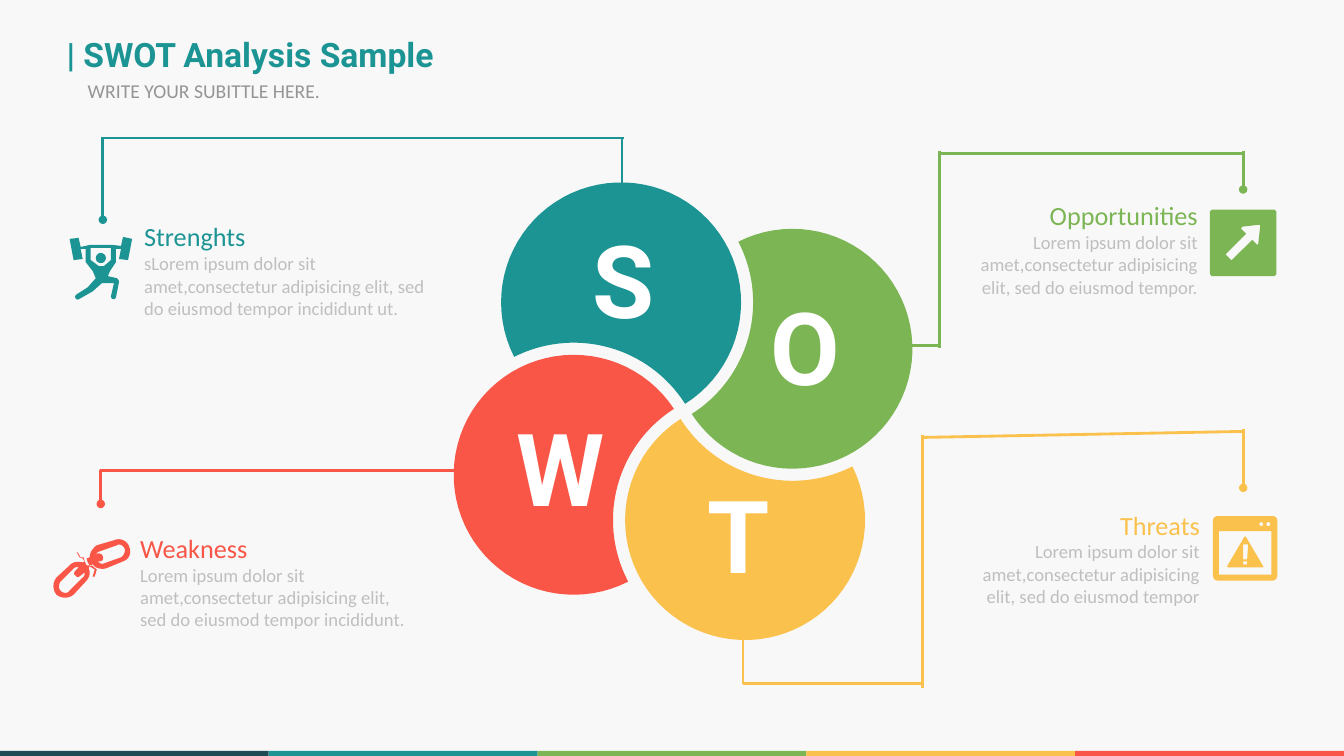
"""Build a SWOT slide with four interlocking petals, leader lines and captions."""
from dataclasses import dataclass
from math import acos, atan2, cos, dist, pi, sin

from lxml import etree
from pptx import Presentation
from pptx.dml.color import RGBColor
from pptx.enum.shapes import MSO_CONNECTOR, MSO_SHAPE
from pptx.enum.text import MSO_AUTO_SIZE, PP_ALIGN
from pptx.oxml.ns import qn
from pptx.util import Inches, Pt

STRAIGHT, ELBOW = MSO_CONNECTOR.STRAIGHT, MSO_CONNECTOR.ELBOW
RECTANGLE = MSO_SHAPE.RECTANGLE
GROW = MSO_AUTO_SIZE.SHAPE_TO_FIT_TEXT
LEFT, CENTER, RIGHT = PP_ALIGN.LEFT, PP_ALIGN.CENTER, PP_ALIGN.RIGHT

NAVY = RGBColor(0x1D, 0x4A, 0x53)
TEAL = RGBColor(0x1C, 0x94, 0x94)
GREEN = RGBColor(0x7C, 0xB5, 0x54)
YELLOW = RGBColor(0xFA, 0xC1, 0x4D)
RED = RGBColor(0xF9, 0x56, 0x47)
PAPER = RGBColor(0xF8, 0xF8, 0xF8)
WHITE = RGBColor(0xFF, 0xFF, 0xFF)
LIGHT_GRAY = RGBColor(0xBF, 0xBF, 0xBF)
GRAY = RGBColor(0x95, 0x95, 0x96)

WIDTH, HEIGHT = 13.33, 7.5
RADIUS, GAP = 1.19, 0.12
Point = tuple[float, float]
Contour = list[tuple[float, ...]]


@dataclass
class Span:
    text: str
    size: float
    font: str
    color: RGBColor
    bold: bool = False


@dataclass
class Petal:
    letter: str
    center: Point
    letter_at: Point
    color: RGBColor


@dataclass
class Caption:
    title: str
    body: str
    at: Point
    width: float
    align: PP_ALIGN
    color: RGBColor


@dataclass
class Leader:
    color: RGBColor
    segments: list[tuple[float, float, float, float]]
    kind: MSO_CONNECTOR = STRAIGHT


@dataclass
class Icon:
    color: RGBColor
    contours: list[Contour]


def arc(center: Point, radius: float, start: float, end: float, steps: int = 60) -> Contour:
    angles = [start + (end - start) * step / steps for step in range(steps + 1)]
    return [(center[0] + radius * cos(a), center[1] + radius * sin(a)) for a in angles]


def disc(x: float, y: float, radius: float) -> Contour:
    return arc((x, y), radius, 0, 2 * pi, 20)


def petal_outline(center: Point, neighbor: Point) -> Contour:
    """Return a circle with the neighbor circle and its gap cut away."""
    apart, cut = dist(center, neighbor), RADIUS + GAP
    toward = atan2(neighbor[1] - center[1], neighbor[0] - center[0])
    own = acos((RADIUS**2 + apart**2 - cut**2) / (2 * RADIUS * apart))
    other = acos((cut**2 + apart**2 - RADIUS**2) / (2 * cut * apart))
    rim = arc(center, RADIUS, toward + own, toward + 2 * pi - own)
    return rim + arc(neighbor, cut, toward + pi + other, toward + pi - other)


def flatten(contour: Contour, steps: int = 8) -> list[Point]:
    """Turn points and six-number cubic curves into plain points."""
    points = [contour[0]]
    for item in contour[1:]:
        if len(item) == 2:
            points.append(item)
            continue
        x0, y0 = points[-1]
        x1, y1, x2, y2, x3, y3 = item
        for step in range(1, steps + 1):
            t = step / steps
            a, b, c, d = (1 - t)**3, 3 * t * (1 - t)**2, 3 * t * t * (1 - t), t**3
            points.append((a * x0 + b * x1 + c * x2 + d * x3, a * y0 + b * y1 + c * y2 + d * y3))
    return points


def paint(shape, color: RGBColor) -> None:
    shape.shadow.inherit = False
    shape.fill.solid()
    shape.fill.fore_color.rgb = color
    shape.line.fill.background()


def add_outline(page, contours: list[Contour], color: RGBColor) -> None:
    rings = [[(Inches(x), Inches(y)) for x, y in flatten(contour)] for contour in contours]
    builder = page.shapes.build_freeform(*rings[0][0], scale=1.0)
    builder.add_line_segments(rings[0][1:], close=True)
    for ring in rings[1:]:
        builder.move_to(*ring[0])
        builder.add_line_segments(ring[1:], close=True)
    paint(builder.convert_to_shape(), color)


def add_text(page, at: tuple[float, float, float, float], insets: tuple[float, float, float, float],
             spans: list[Span], align: PP_ALIGN = LEFT, grow: bool = True) -> None:
    frame = page.shapes.add_textbox(*map(Inches, at)).text_frame
    frame.word_wrap = True
    frame.auto_size = GROW if grow else MSO_AUTO_SIZE.NONE
    frame.margin_left, frame.margin_top, frame.margin_right, frame.margin_bottom = map(Inches, insets)
    for index, span in enumerate(spans):
        para = frame.add_paragraph() if index else frame.paragraphs[0]
        para.alignment = align
        run = para.add_run()
        run.text = span.text
        run.font.size, run.font.name, run.font.bold = Pt(span.size), span.font, span.bold
        run.font.color.rgb = span.color


def add_leader(page, leader: Leader) -> None:
    for segment in leader.segments:
        connector = page.shapes.add_connector(leader.kind, *map(Inches, segment))
        connector.line.color.rgb = leader.color
        connector.line.width = Pt(2)
        properties = connector._element.spPr
        if leader.kind == ELBOW:
            properties.find(qn("a:prstGeom")).set("prst", "bentConnector2")
        if segment == leader.segments[-1]:
            etree.SubElement(properties.find(qn("a:ln")), qn("a:tailEnd"), type="oval")
        etree.SubElement(properties, qn("a:effectLst"))


PETALS = [
    Petal("S", (6.16, 3), (5.38, 2.09), TEAL), Petal("W", (5.69, 4.71), (4.76, 3.95), RED),
    Petal("T", (7.39, 5.16), (6.53, 4.62), YELLOW), Petal("O", (7.86, 3.46), (7.19, 2.75), GREEN),
]
LOREM = "Lorem ipsum dolor sit amet,consectetur adipisicing elit, sed do eiusmod tempor"
CAPTIONS = [
    Caption("Weakness", LOREM + " incididunt.", (1.39, 5.23), 2.75, LEFT, RED),
    Caption("Strenghts", "s" + LOREM + " incididunt ut.", (1.43, 2.14), 2.86, LEFT, TEAL),
    Caption("Opportunities", LOREM + ".", (9.54, 1.93), 2.34, RIGHT, GREEN),
    Caption("Threats", LOREM, (9.56, 5), 2.34, RIGHT, YELLOW),
]
LEADERS = [
    Leader(RED, [(4.6, 4.67, 1, 5)], ELBOW),
    Leader(TEAL, [(6.17, 1.91, 6.17, 1.36), (6.19, 1.37, 1, 1.37), (1.02, 1.36, 1.02, 2.18)]),
    Leader(GREEN, [(8.95, 3.43, 9.33, 3.43), (9.32, 3.45, 9.32, 1.5), (9.31, 1.52, 12.34, 1.52),
                   (12.33, 1.5, 12.33, 1.88)]),
    Leader(YELLOW, [(7.37, 6.21, 7.37, 6.79), (7.37, 6.78, 9.14, 6.78), (9.15, 6.83, 9.15, 4.32),
                    (9.14, 4.34, 12.33, 4.28), (12.33, 4.26, 12.33, 4.84)]),
]
LIFTER = Icon(TEAL, [
    disc(1, 2.56, 0.05),
    [(1.31, 2.37), (1.27, 2.58), (1.18, 2.57), (1.2, 2.47), (1.15, 2.47), (1.15, 2.6), (1.09, 2.69),
     (1.07, 2.74), (1.16, 2.76), (1.17, 2.77, 1.18, 2.78, 1.18, 2.8), (1.15, 2.95),
     (1.14, 2.98, 1.1, 2.97, 1.1, 2.94), (1.13, 2.81), (1.01, 2.81), (0.92, 2.89), (0.78, 2.97),
     (0.75, 2.98, 0.73, 2.94, 0.76, 2.92), (0.87, 2.85), (0.95, 2.76), (0.92, 2.69), (0.85, 2.6),
     (0.85, 2.47), (0.8, 2.47), (0.82, 2.57), (0.73, 2.58), (0.69, 2.37), (0.78, 2.36), (0.8, 2.45),
     (0.89, 2.43), (1.12, 2.43), (1.2, 2.44), (1.22, 2.35)],
    [(1.1, 2.46), (0.9, 2.46), (0.9, 2.58), (0.98, 2.64), (1.03, 2.64), (1.1, 2.58)],
])
CHAIN = Icon(RED, [
    [(0.89, 5.61), (0.86, 5.61), (0.84, 5.57), (0.82, 5.58), (0.78, 5.57, 0.72, 5.57, 0.69, 5.61),
     (0.56, 5.73), (0.52, 5.78, 0.52, 5.85, 0.56, 5.9), (0.61, 5.94, 0.68, 5.94, 0.73, 5.9),
     (0.85, 5.77), (0.89, 5.73, 0.9, 5.68, 0.88, 5.64)],
    [(0.82, 5.73), (0.69, 5.86), (0.67, 5.89, 0.63, 5.89, 0.6, 5.86), (0.58, 5.84, 0.58, 5.8, 0.6, 5.77),
     (0.72, 5.65), (0.74, 5.63, 0.76, 5.62, 0.78, 5.63), (0.75, 5.66), (0.73, 5.68, 0.73, 5.7, 0.75, 5.71),
     (0.76, 5.73, 0.78, 5.73, 0.8, 5.71), (0.84, 5.68), (0.84, 5.69, 0.84, 5.72, 0.82, 5.73)],
    [(1.28, 5.42), (1.26, 5.37, 1.2, 5.33, 1.13, 5.36), (0.96, 5.41), (0.92, 5.44, 0.89, 5.48, 0.89, 5.53),
     (0.86, 5.54), (0.87, 5.58), (0.89, 5.61), (0.92, 5.6), (0.95, 5.64, 1, 5.65, 1.05, 5.64),
     (1.22, 5.57), (1.28, 5.55, 1.31, 5.49, 1.28, 5.42)],
    [(1.2, 5.53), (1.03, 5.59), (1.01, 5.6, 0.99, 5.59, 0.97, 5.57), (1, 5.57),
     (1.02, 5.56, 1.03, 5.54, 1.02, 5.52), (1.01, 5.5, 1, 5.49, 0.97, 5.49), (0.95, 5.51),
     (0.96, 5.49, 0.96, 5.48, 0.99, 5.47), (1.16, 5.41), (1.19, 5.39, 1.22, 5.41, 1.24, 5.45),
     (1.24, 5.48, 1.23, 5.51, 1.2, 5.53)],
    [(0.91, 5.61), (0.96, 5.65), (0.94, 5.72), (0.92, 5.72), (0.94, 5.65), (0.89, 5.62)],
    [(0.79, 5.53), (0.76, 5.48), (0.77, 5.48), (0.8, 5.53), (0.83, 5.53), (0.84, 5.57), (0.82, 5.54)],
])
ARROW = Icon(GREEN, [
    [(12.64, 2.08), (12.02, 2.08), (12, 2.1), (12, 2.72), (12.02, 2.74), (12.64, 2.74), (12.66, 2.72), (12.66, 2.1)],
    [(12.48, 2.42), (12.47, 2.43), (12.42, 2.38), (12.22, 2.58), (12.21, 2.58), (12.16, 2.53), (12.16, 2.52),
     (12.36, 2.32), (12.31, 2.27), (12.32, 2.25), (12.49, 2.23), (12.5, 2.24)],
])
WINDOW = Icon(YELLOW, [
    [(12.62, 5.12), (12.08, 5.12), (12.05, 5.12, 12.03, 5.14, 12.03, 5.17), (12.03, 5.7),
     (12.03, 5.74, 12.05, 5.76, 12.08, 5.76), (12.62, 5.76), (12.65, 5.76, 12.67, 5.74, 12.67, 5.7),
     (12.67, 5.17), (12.67, 5.14, 12.65, 5.12, 12.62, 5.12)],
    disc(12.58, 5.2, 0.02), disc(12.51, 5.2, 0.02),
    [(12.61, 5.7), (12.09, 5.7), (12.09, 5.27), (12.61, 5.27)],
    [(12.18, 5.63), (12.53, 5.63), (12.53, 5.62), (12.36, 5.33), (12.35, 5.32), (12.34, 5.33), (12.17, 5.62)],
    [(12.37, 5.6), (12.33, 5.6), (12.33, 5.57), (12.37, 5.57)],
    [(12.33, 5.4), (12.38, 5.4), (12.37, 5.55), (12.33, 5.55)],
])


def main() -> None:
    deck = Presentation()
    deck.slide_width, deck.slide_height = Inches(WIDTH), Inches(HEIGHT)
    page = deck.slides.add_slide(deck.slide_layouts[6])
    page.background.fill.solid()
    page.background.fill.fore_color.rgb = PAPER
    colors = [NAVY, TEAL, GREEN, YELLOW, RED]
    band = WIDTH / len(colors)
    for index, color in enumerate(colors):
        paint(page.shapes.add_shape(RECTANGLE, Inches(index * band), Inches(7.45), Inches(band), Inches(0.1)), color)
    for index, petal in enumerate(PETALS):
        neighbor = PETALS[(index + 1) % len(PETALS)]
        add_outline(page, [petal_outline(petal.center, neighbor.center)], petal.color)
    for petal in PETALS:
        add_text(page, (*petal.letter_at, 1.6, 1.35), (0.13, 0.07, 0.13, 0.07),
                 [Span(petal.letter, 72, "Roboto", WHITE, True)], CENTER)
    for caption in CAPTIONS:
        spans = [Span(caption.title, 18.7, "Calibri", caption.color), Span(caption.body, 13.3, "Calibri", LIGHT_GRAY)]
        add_text(page, (*caption.at, caption.width, 1.04), (0, 0.05, 0, 0), spans, caption.align)
    for leader in LEADERS:
        add_leader(page, leader)
    for icon in (LIFTER, CHAIN, ARROW, WINDOW):
        add_outline(page, icon.contours, icon.color)
    add_text(page, (0.66, 0.34, 10.02, 0.54), (0, 0, 0.13, 0),
             [Span("| SWOT Analysis Sample", 24, "Roboto", TEAL, True)], grow=False)
    add_text(page, (0.87, 0.78, 9.78, 0.39), (0, 0, 0.13, 0),
             [Span("WRITE YOUR SUBITTLE HERE.", 14, "Calibri", GRAY)], grow=False)
    deck.save("out.pptx")


if __name__ == "__main__":
    main()
